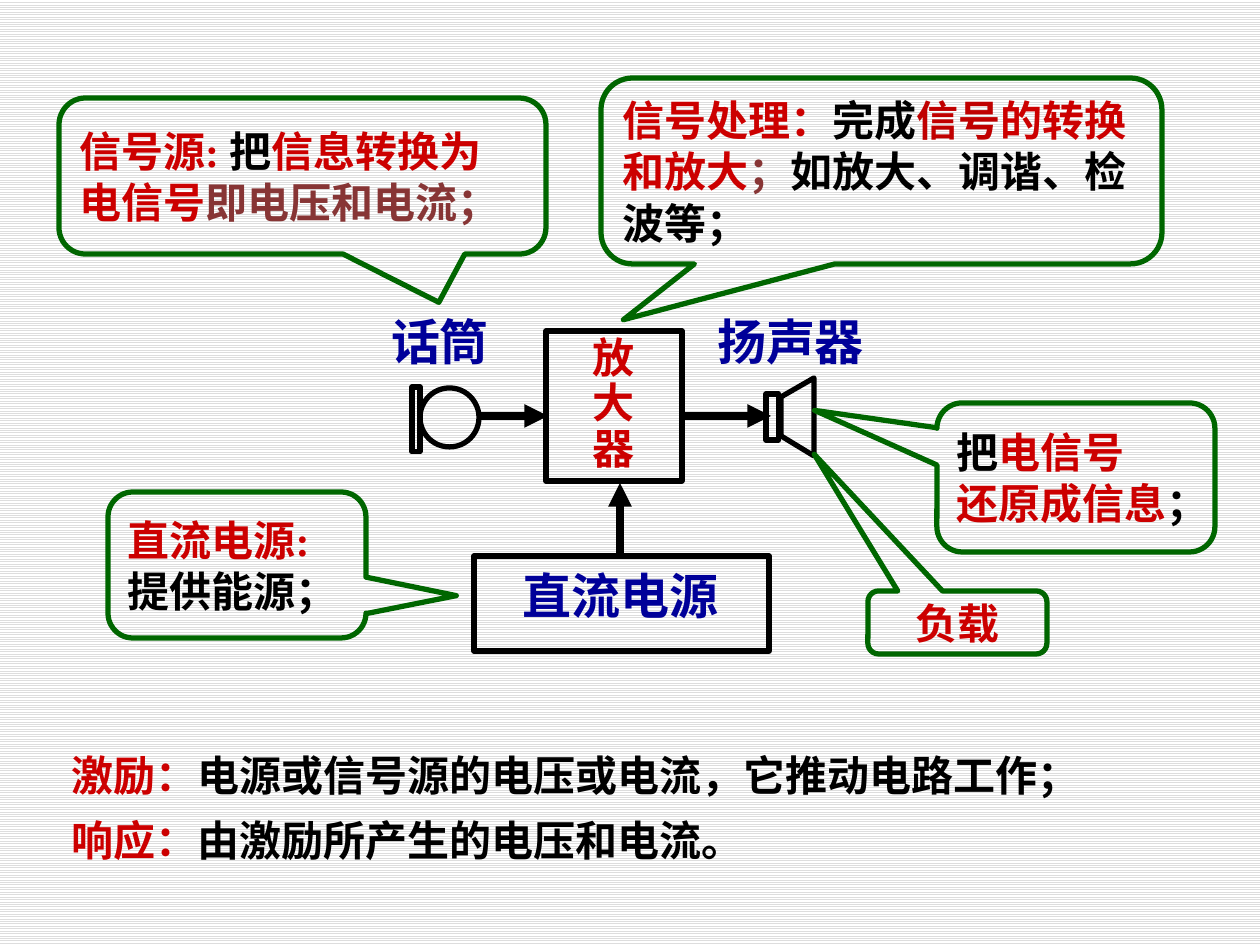
import pptx
import pptx.util
import pptx.dml.color
import pptx.enum.dml
import pptx.enum.shapes
import pptx.enum.text
import pptx.oxml

PX = 914400 // 126
FONT = "Times New Roman"
COLORS = {
    "black": "000000", "red": "CC0000", "crimson": "C00000", "brown": "873535",
    "blue": "000099", "green": "006600", "stripe": "DDDDDD", "paper": "FFFFFF",
}
SHAPE = pptx.enum.shapes.MSO_SHAPE
ALIGN = pptx.enum.text.PP_ALIGN
ANCHOR = pptx.enum.text.MSO_ANCHOR

PARTS = [
    (SHAPE.RECTANGLE, (474, 556, 295, 95)),
    (SHAPE.OVAL, (420, 388, 59, 59)),
    (SHAPE.RECTANGLE, (412, 387, 8, 65)),
    (SHAPE.RECTANGLE, (766, 394, 13, 46)),
]
AMPLIFIER = (546, 331, 136, 150)
AMPLIFIER_TEXT = [[(character, "red")] for character in "放大器"]
SPEAKER_HORN = [(814, 378), (781, 397), (781, 436), (814, 456)]
ARROWS = [
    ((620, 556), (620, 483)),
    ((479, 416), (548, 416)),
    ((683, 416), (771, 416)),
]
LABELS = [
    ("直流电源", (493, 559, 255, 72)),
    ("扬声器", (680, 305, 221, 72)),
    ("话筒", (357, 305, 166, 72)),
]
CALLOUTS = [
    ((108, 492, 258, 146), (0.85, 0.21), ALIGN.LEFT, [
        [("直流电源:", "red")],
        [("提供能源；", "black")],
    ]),
    ((601, 78, 561, 186), (-0.46, 0.8), ALIGN.LEFT, [
        [("信号处理：", "red"), ("完成", "black"), ("信号", "crimson"), ("的转换", "red")],
        [("和放大", "red"), ("；", "brown"), ("如放大、调谐、检", "black")],
        [("波等；", "black")],
    ]),
    ((868, 591, 179, 63), (-0.8, -2.67), ALIGN.CENTER, [
        [("负载", "red")],
    ]),
    ((59, 98, 487, 156), (0.28, 0.81), ALIGN.LEFT, [
        [("信号源: ", "red"), ("把", "black"), ("信息转换为", "red")],
        [("电信号", "red"), ("即电压和电流；", "brown")],
    ]),
    ((937, 403, 278, 149), (-0.94, -0.45), ALIGN.LEFT, [
        [("把", "black"), ("电信号", "red")],
        [("还原成信息", "red"), ("；", "black")],
    ]),
]
DEFINITIONS_BOX = (59, 728, 1162, 139)
DEFINITIONS = [
    [("激励：", "red"), ("电源或信号源的电压或电流，它推动电路工作；", "black")],
    [("响应：", "red"), ("由激励所产生的电压和电流。", "black")],
]


def rgb(name):
    return pptx.dml.color.RGBColor.from_string(COLORS[name])


def emu(lengths):
    return [length * PX for length in lengths]


def outline(shape, color="black"):
    shape.shadow.inherit = False
    shape.fill.background()
    shape.line.color.rgb = rgb(color)
    shape.line.width = pptx.util.Pt(3)


def write(frame, paragraphs, size=24, align=ALIGN.LEFT, spacing=None, gap=0, wrap=True):
    frame.word_wrap = wrap
    for index, runs in enumerate(paragraphs):
        paragraph = frame.add_paragraph() if index else frame.paragraphs[0]
        paragraph.alignment = align
        if spacing:
            paragraph.line_spacing = spacing
        if index and gap:
            paragraph.space_before = pptx.util.Pt(gap)
        for text, color in runs:
            run = paragraph.add_run()
            run.text = text
            run.font.name = FONT
            run.font.size = pptx.util.Pt(size)
            run.font.bold = True
            run.font.color.rgb = rgb(color)


def add_arrow(shapes, start, end):
    arrow = shapes.add_connector(
        pptx.enum.shapes.MSO_CONNECTOR.STRAIGHT, *emu(start + end))
    arrow.line.color.rgb = rgb("black")
    arrow.line.width = pptx.util.Pt(4.5)
    namespace = pptx.oxml.ns.nsdecls("a")
    arrow.line._get_or_add_ln().append(
        pptx.oxml.parse_xml(f'<a:tailEnd {namespace} type="triangle"/>'))
    arrow._element.spPr.append(pptx.oxml.parse_xml(f"<a:effectLst {namespace}/>"))


def main():
    deck = pptx.Presentation()
    deck.slide_width, deck.slide_height = pptx.util.Inches(10), pptx.util.Inches(7.5)
    slide = deck.slides.add_slide(deck.slide_layouts[6])
    shapes = slide.shapes

    backdrop = slide.background.fill
    backdrop.patterned()
    backdrop.pattern = pptx.enum.dml.MSO_PATTERN.LIGHT_HORIZONTAL
    backdrop.fore_color.rgb = rgb("stripe")
    backdrop.back_color.rgb = rgb("paper")

    for kind, box in PARTS:
        outline(shapes.add_shape(kind, *emu(box)))

    horn = shapes.build_freeform(*SPEAKER_HORN[0], scale=PX)
    horn.add_line_segments(SPEAKER_HORN[1:], close=True)
    outline(horn.convert_to_shape())

    for start, end in ARROWS:
        add_arrow(shapes, start, end)

    amplifier = shapes.add_shape(SHAPE.RECTANGLE, *emu(AMPLIFIER))
    outline(amplifier)
    amplifier.text_frame.vertical_anchor = ANCHOR.TOP
    write(amplifier.text_frame, AMPLIFIER_TEXT, align=ALIGN.CENTER, spacing=0.9)

    for name, box in LABELS:
        label = shapes.add_textbox(*emu(box))
        write(label.text_frame, [[(name, "blue")]], size=28, align=ALIGN.CENTER)

    for box, tip, align, paragraphs in CALLOUTS:
        callout = shapes.add_shape(SHAPE.ROUNDED_RECTANGULAR_CALLOUT, *emu(box))
        outline(callout, "green")
        for index, value in enumerate((*tip, 0.17)):
            callout.adjustments[index] = value
        callout.text_frame.vertical_anchor = ANCHOR.MIDDLE
        write(callout.text_frame, paragraphs, align=align, gap=0.5, wrap=False)

    definitions = shapes.add_textbox(*emu(DEFINITIONS_BOX))
    write(definitions.text_frame, DEFINITIONS, spacing=1.3)

    deck.save("out.pptx")


if __name__ == "__main__":
    main()
